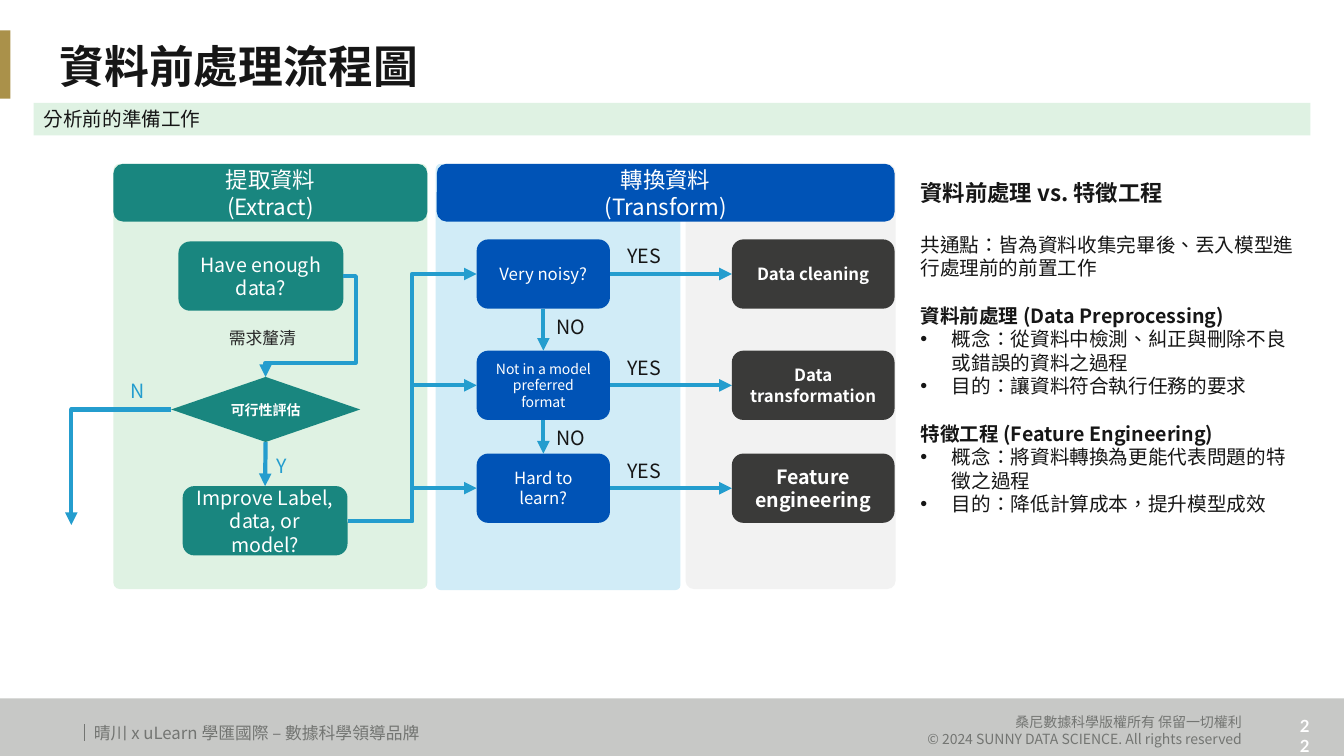
import dataclasses

import pptx
import pptx.dml.color
import pptx.enum.shapes
import pptx.enum.text
import pptx.oxml
import pptx.oxml.ns
import pptx.util
from lxml import etree

PX = 9525  # EMU in one px, 96 px to the inch
SHAPE = pptx.enum.shapes.MSO_SHAPE
CONNECTOR = pptx.enum.shapes.MSO_CONNECTOR
ALIGN = pptx.enum.text.PP_ALIGN
ANCHOR = pptx.enum.text.MSO_ANCHOR
TOP, LEFT, BOTTOM, RIGHT = range(4)
qn = pptx.oxml.ns.qn


@dataclasses.dataclass(frozen=True)
class Theme:
    font: str = "Noto Sans CJK SC"
    number_font: str = "Lato"
    ink: str = "161616"
    note: str = "282828"
    white: str = "FFFFFF"
    green: str = "19867F"
    pale_green: str = "DFF2E3"
    blue: str = "0053B6"
    pale_blue: str = "D1ECF7"
    charcoal: str = "3A3A39"
    pale_grey: str = "F2F2F2"
    arrow: str = "249DCE"
    gold: str = "AA914A"
    footer: str = "C7C8C6"
    footer_ink: str = "737572"
    title: int = 32
    heading: int = 16
    body: int = 14
    small: int = 12
    tiny: int = 10


def rgb(value):
    return pptx.dml.color.RGBColor.from_string(value)


def apply(target, values):
    for name, value in values.items():
        setattr(target, name, value)


class FlowSlide:
    def __init__(self, theme, slide):
        self.theme = theme
        self.slide = slide
        self.shapes = slide.shapes

    def add_words(self, paragraph, text, size, color, bold=False, font=None):
        run = paragraph.add_run()
        run.text = text
        name = font or self.theme.font
        apply(run.font, {"name": name, "size": pptx.util.Pt(size), "bold": bold})
        run.font.color.rgb = rgb(color)
        properties = run._r.get_or_add_rPr()
        properties.set("lang", "zh-TW")
        latin = properties.find(qn("a:latin"))
        east_asian = etree.Element(qn("a:ea"), typeface=name)
        latin.addnext(east_asian)

    def fill_text(self, shape, text, size, color, align=ALIGN.CENTER,
                  anchor=ANCHOR.MIDDLE, spacing=None, **style):
        """Set one paragraph per line of text."""
        frame = shape.text_frame
        apply(frame, {"word_wrap": True, "vertical_anchor": anchor,
                      "auto_size": pptx.enum.text.MSO_AUTO_SIZE.NONE})
        for index, line in enumerate(text.split("\n")):
            paragraph = frame.add_paragraph() if index else frame.paragraphs[0]
            apply(paragraph, {"alignment": align, "line_spacing": spacing})
            self.add_words(paragraph, line, size, color, **style)

    def place(self, shape, box):
        apply(shape, dict(zip(("left", "top", "width", "height"),
                              (value * PX for value in box))))

    def block(self, box, fill, kind=SHAPE.RECTANGLE, corner=None):
        shape = self.shapes.add_shape(kind, *(value * PX for value in box))
        shape.shadow.inherit = False
        shape.fill.solid()
        shape.fill.fore_color.rgb = rgb(fill)
        shape.line.fill.background()
        if corner is not None:
            shape.adjustments[0] = corner
        return shape

    def step(self, box, fill, text, size, kind=SHAPE.ROUNDED_RECTANGLE, bold=False):
        shape = self.block(box, fill, kind)
        self.fill_text(shape, text, size, self.theme.white, bold=bold)
        return shape

    def label(self, box, text, size, color, align=ALIGN.CENTER, **style):
        shape = self.shapes.add_textbox(*(value * PX for value in box))
        self.fill_text(shape, text, size, color, align, ANCHOR.TOP, **style)

    def line(self, points, color, width, kind=CONNECTOR.STRAIGHT):
        connector = self.shapes.add_connector(kind, *(value * PX for value in points))
        connector.line.color.rgb = rgb(color)
        connector.line.width = pptx.util.Pt(width)
        etree.SubElement(connector._element.spPr, qn("a:effectLst"))
        return connector

    def arrow(self, start, end, bend=None, adjust=(), points=(0, 0, 0, 0)):
        """Join (shape, side) pairs; end may be None to keep the given points."""
        kind = CONNECTOR.ELBOW if bend else CONNECTOR.STRAIGHT
        connector = self.line(points, self.theme.arrow, 3, kind)
        connector.begin_connect(*start)
        if end:
            connector.end_connect(*end)
        outline = connector._element.spPr.find(qn("a:ln"))
        etree.SubElement(outline, qn("a:tailEnd"), type="triangle")
        if bend:
            geometry = connector._element.spPr.find(qn("a:prstGeom"))
            geometry.set("prst", f"bentConnector{bend}")
            guides = geometry.find(qn("a:avLst"))
            for number, value in enumerate(adjust, 1):
                etree.SubElement(guides, qn("a:gd"), name=f"adj{number}", fmla=f"val {value}")

    def title(self, box, text):
        shape = self.shapes.title
        self.place(shape, box)
        self.fill_text(shape, text, self.theme.title, self.theme.ink,
                       ALIGN.LEFT, spacing=0.9, bold=True)

    def body(self, box, entries):
        """Entries are (text, size, bold, bulleted, space before)."""
        shape = self.slide.placeholders[1]
        self.place(shape, box)
        frame = shape.text_frame
        apply(frame, {"word_wrap": True, "vertical_anchor": ANCHOR.TOP,
                      "auto_size": pptx.enum.text.MSO_AUTO_SIZE.NONE})
        for index, (text, size, bold, bulleted, gap) in enumerate(entries):
            paragraph = frame.add_paragraph() if index else frame.paragraphs[0]
            apply(paragraph, {"alignment": ALIGN.LEFT, "space_before": pptx.util.Pt(gap),
                              "space_after": pptx.util.Pt(0)})
            properties = paragraph._p.get_or_add_pPr()
            indent = 30 * PX if bulleted else 0
            properties.set("marL", str(indent))
            properties.set("indent", str(-indent))
            if bulleted:
                etree.SubElement(properties, qn("a:buFont"), typeface="Arial")
                etree.SubElement(properties, qn("a:buChar"), char="•")
            else:
                etree.SubElement(properties, qn("a:buNone"))
            self.add_words(paragraph, text, size, self.theme.ink, bold)


def draw_frame(page, t):
    page.block((0, 665, 1280, 55), t.footer)
    page.line((80, 690, 80, 706), t.footer_ink, 0.5)
    page.label((1224, 677, 37, 29), "22", t.small, t.white, bold=True, font=t.number_font)
    page.label((737, 675, 455, 42),
               "桑尼數據科學版權所有 保留一切權利\n© 2024 SUNNY DATA SCIENCE. All rights reserved",
               t.tiny, t.footer_ink, ALIGN.RIGHT)
    page.label((80, 684, 455, 29), "晴川 x uLearn 學匯國際 – 數據科學領導品牌",
               t.small, t.footer_ink, ALIGN.LEFT)
    page.block((0, 29, 10, 65), t.gold)
    page.title((47, 25, 1192, 82), "資料前處理流程圖")
    subtitle = page.block((32, 98, 1216, 31), t.pale_green)
    page.fill_text(subtitle, "分析前的準備工作", t.body, t.ink, ALIGN.LEFT)


def draw_extract(page, t):
    """Return the last step, which leads on to the transform questions."""
    page.block((108, 156, 299, 405), t.pale_green, SHAPE.ROUNDED_RECTANGLE, 0.02)
    page.step((108, 156, 299, 55), t.green, "提取資料\n(Extract)", t.heading)
    enough = page.step((170, 230, 157, 66), t.green, "Have enough data?", t.body)
    feasible = page.step((163, 359, 180, 62), t.green, "可行性評估", t.tiny,
                         SHAPE.DIAMOND, bold=True)
    improve = page.step((174, 463, 157, 66), t.green, "Improve Label, data, or model?", t.body)
    page.label((163, 307, 174, 29), "需求釐清", t.small, t.note)
    page.arrow((enough, RIGHT), (feasible, TOP), 4, (-16100, 85900))
    page.arrow((feasible, BOTTOM), (improve, TOP))
    page.arrow((feasible, LEFT), None, 2, points=(163, 390, 68, 500))
    page.label((109, 356, 44, 32), "N", t.body, t.arrow)
    page.label((246, 428, 44, 32), "Y", t.body, t.arrow)
    return improve


def draw_transform(page, t, improve):
    page.block((653, 156, 200, 405), t.pale_grey, SHAPE.ROUNDED_RECTANGLE, 0.04)
    page.block((415, 156, 233, 406), t.pale_blue, SHAPE.ROUNDED_RECTANGLE, 0.02)
    page.step((416, 156, 436, 55), t.blue, "轉換資料\n(Transform)", t.heading)
    rows = [(228, "Very noisy?", t.small, "Data cleaning", t.small),
            (334, "Not in a model preferred format", t.tiny, "Data transformation", t.small),
            (432, "Hard to learn?", t.small, "Feature engineering", t.body)]
    previous = None
    for top, question_text, question_size, outcome_text, outcome_size in rows:
        question = page.step((454, top, 127, 66), t.blue, question_text, question_size)
        outcome = page.step((697, top, 155, 66), t.charcoal, outcome_text, outcome_size, bold=True)
        page.arrow((improve, RIGHT), (question, LEFT), 3, (50000,))
        page.arrow((question, RIGHT), (outcome, LEFT))
        page.label((587, top, 53, 32), "YES", t.body, t.ink)
        if previous:
            page.arrow((previous, BOTTOM), (question, TOP))
            page.label((517, previous.top // PX + 67, 53, 32), "NO", t.body, t.ink)
        previous = question


def main():
    deck = pptx.Presentation()
    apply(deck, {"slide_width": 1280 * PX, "slide_height": 720 * PX})
    t = Theme()
    page = FlowSlide(t, deck.slides.add_slide(deck.slide_layouts[1]))
    draw_frame(page, t)
    draw_transform(page, t, draw_extract(page, t))
    page.body((867, 166, 377, 333), [
        ("資料前處理 vs. 特徵工程", t.heading, True, False, 0),
        ("共通點：皆為資料收集完畢後、丟入模型進行處理前的前置工作", t.body, False, False, 19),
        ("資料前處理 (Data Preprocessing)", t.body, True, False, 17),
        ("概念：從資料中檢測、糾正與刪除不良或錯誤的資料之過程", t.body, False, True, 0),
        ("目的：讓資料符合執行任務的要求", t.body, False, True, 0),
        ("特徵工程 (Feature Engineering)", t.body, True, False, 17),
        ("概念：將資料轉換為更能代表問題的特徵之過程", t.body, False, True, 0),
        ("目的：降低計算成本，提升模型成效", t.body, False, True, 0),
    ])
    deck.save("out.pptx")


if __name__ == "__main__":
    main()
